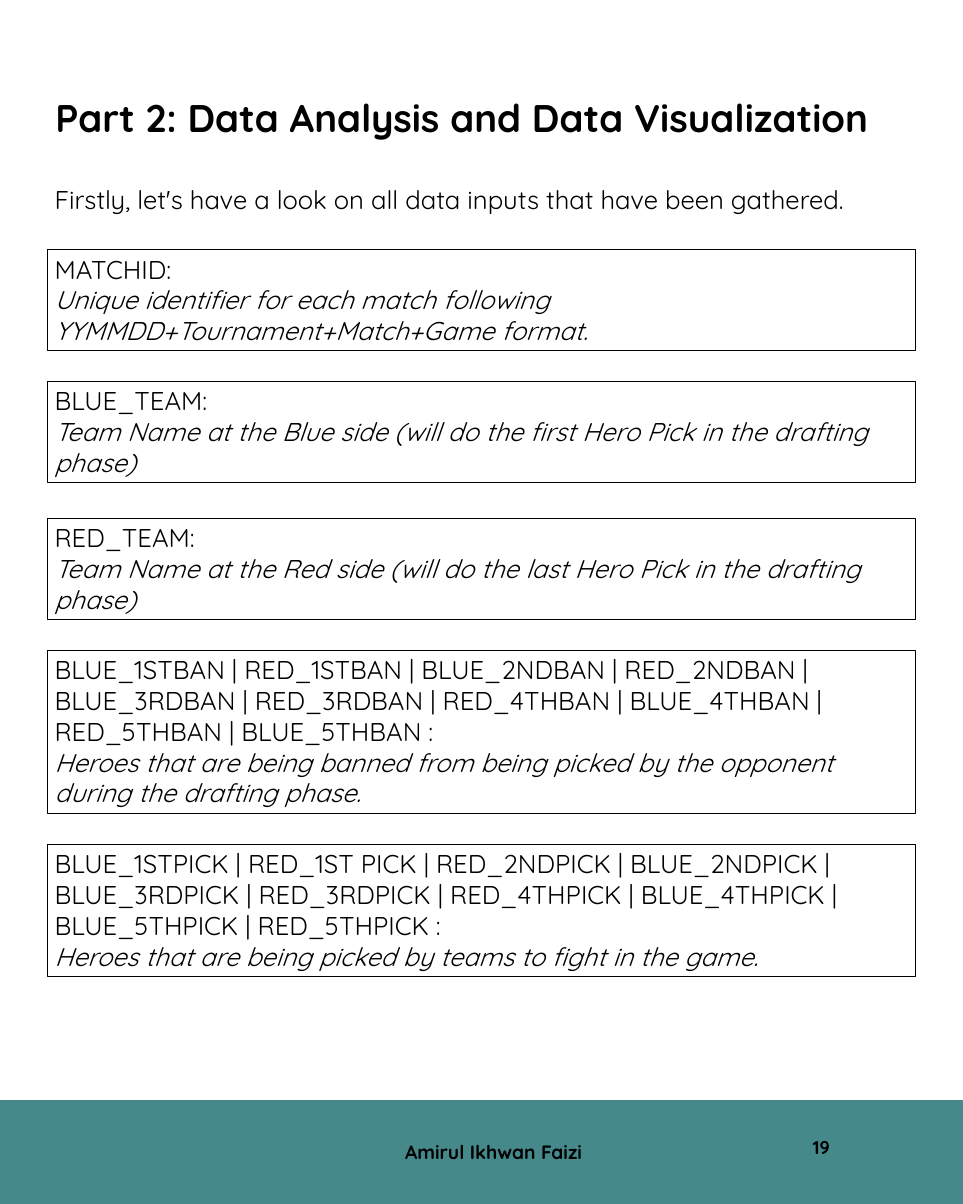
import pptx
import pptx.util
import pptx.dml.color
import pptx.enum.shapes
import pptx.enum.text

Inches = pptx.util.Inches
Pt = pptx.util.Pt
RGBColor = pptx.dml.color.RGBColor
RECT = pptx.enum.shapes.MSO_SHAPE.RECTANGLE
ALIGN = pptx.enum.text.PP_ALIGN
ANCHOR = pptx.enum.text.MSO_ANCHOR

BLACK = RGBColor(0x00, 0x00, 0x00)
TEAL = RGBColor(0x45, 0x89, 0x8B)
LEFT, WIDTH = 0.61, 11.27

deck = pptx.Presentation()
deck.slide_width = Inches(12.5)
deck.slide_height = Inches(15.63)
slide = deck.slides.add_slide(deck.slide_layouts[6])


def add_rect(left, top, width, height, color, weight):
    rect = slide.shapes.add_shape(
        RECT, Inches(left), Inches(top), Inches(width), Inches(height))
    rect.shadow.inherit = False
    rect.fill.background()
    rect.line.color.rgb = color
    rect.line.width = Pt(weight)
    return rect


def add_run(para, text, size, bold=False, italic=False):
    run = para.add_run()
    run.text = text
    font = run.font
    font.name = "Quicksand"
    font.size = Pt(size)
    font.bold = bold
    font.italic = italic
    font.color.rgb = BLACK


# Footer band
band = add_rect(0, 14.29, 12.5, 1.34, TEAL, 1)
band.fill.solid()
band.fill.fore_color.rgb = TEAL

# Title, intro and author
labels = [
    ("Part 2: Data Analysis and Data Visualization", 0.62, 1.17, 11.02, 0.71, 36, True),
    ("Firstly, let's have a look on all data inputs that have been gathered.",
     LEFT, 2.34, WIDTH, 0.5, 24, False),
    ("Amirul Ikhwan Faizi", 5.16, 14.75, 2.6, 0.4, 18, True),
]
for text, left, top, width, height, size, bold in labels:
    box = slide.shapes.add_textbox(
        Inches(left), Inches(top), Inches(width), Inches(height))
    box.text_frame.word_wrap = True
    add_run(box.text_frame.paragraphs[0], text, size, bold)

# Page number
page = slide.shapes.add_textbox(
    Inches(8.48), Inches(14.48), Inches(2.43), Inches(0.83))
frame = page.text_frame
frame.word_wrap = True
frame.vertical_anchor = ANCHOR.MIDDLE
frame.margin_left = frame.margin_right = Inches(0.14)
frame.margin_top = frame.margin_bottom = Inches(0.07)
frame.paragraphs[0].alignment = ALIGN.RIGHT
add_run(frame.paragraphs[0], "19", 17.3, True)

# Data inputs: top, height, field names, meaning
inputs = [
    (3.24, 1.31, "MATCHID:",
     "Unique identifier for each match following "
     "YYMMDD+Tournament+Match+Game format."),
    (4.95, 1.31, "BLUE_TEAM:",
     "Team Name at the Blue side (will do the first Hero Pick in the drafting phase)"),
    (6.73, 1.31, "RED_TEAM:",
     "Team Name at the Red side (will do the last Hero Pick in the drafting phase)"),
    (8.44, 2.12,
     "BLUE_1STBAN | RED_1STBAN | BLUE_2NDBAN | RED_2NDBAN | "
     "BLUE_3RDBAN | RED_3RDBAN | RED_4THBAN | BLUE_4THBAN | "
     "RED_5THBAN | BLUE_5THBAN :",
     "Heroes that are being banned from being picked by the opponent "
     "during the drafting phase."),
    (10.96, 1.72,
     "BLUE_1STPICK | RED_1ST PICK | RED_2NDPICK | BLUE_2NDPICK | "
     "BLUE_3RDPICK | RED_3RDPICK | RED_4THPICK | BLUE_4THPICK | "
     "BLUE_5THPICK | RED_5THPICK :",
     "Heroes that are being picked by teams to fight in the game."),
]
for top, height, fields, meaning in inputs:
    frame = add_rect(LEFT, top, WIDTH, height, BLACK, 0.75).text_frame
    frame.word_wrap = True
    frame.vertical_anchor = ANCHOR.TOP
    head, body = frame.paragraphs[0], frame.add_paragraph()
    head.alignment = body.alignment = ALIGN.LEFT
    add_run(head, fields, 24)
    add_run(body, meaning, 24, italic=True)

deck.save("out.pptx")
